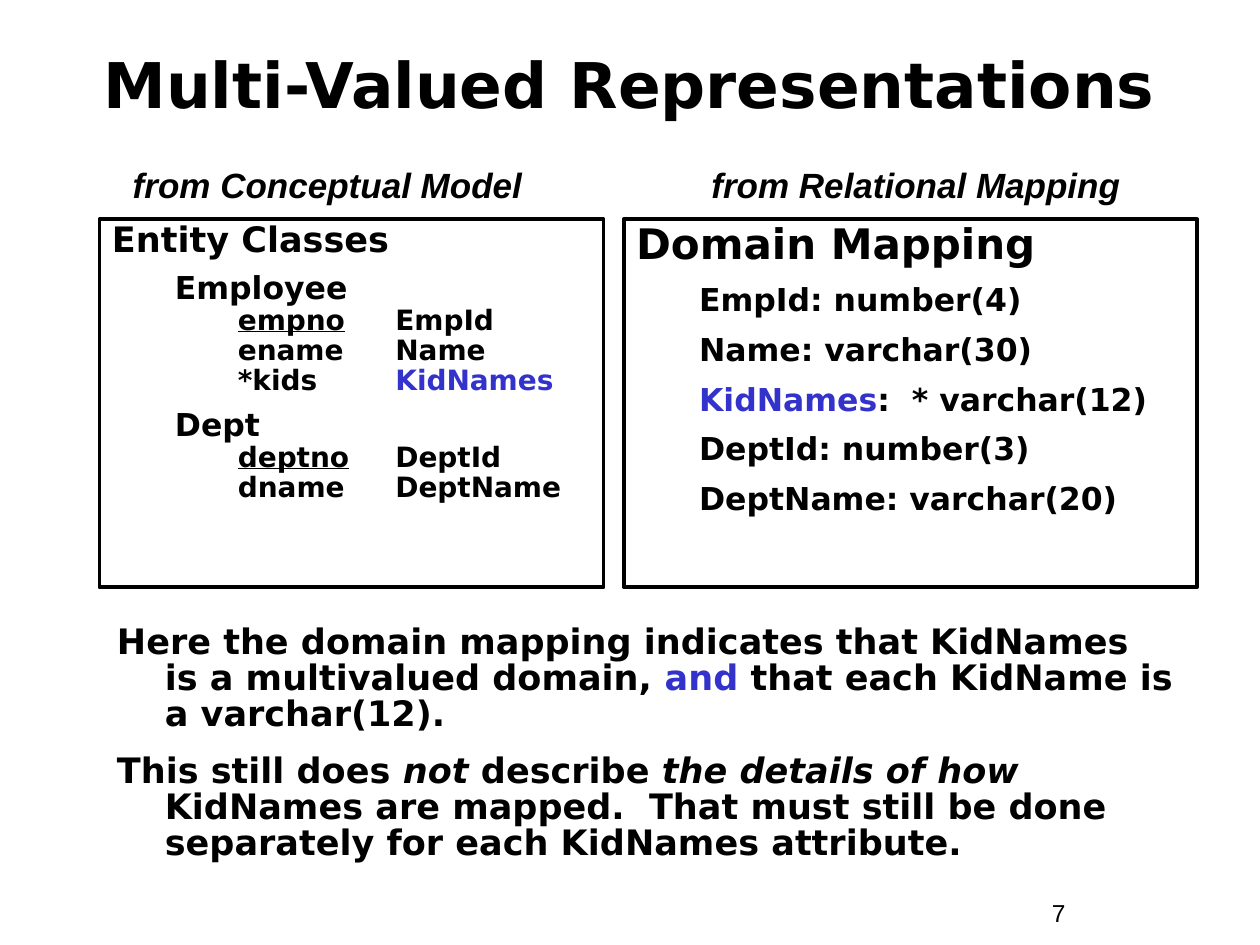
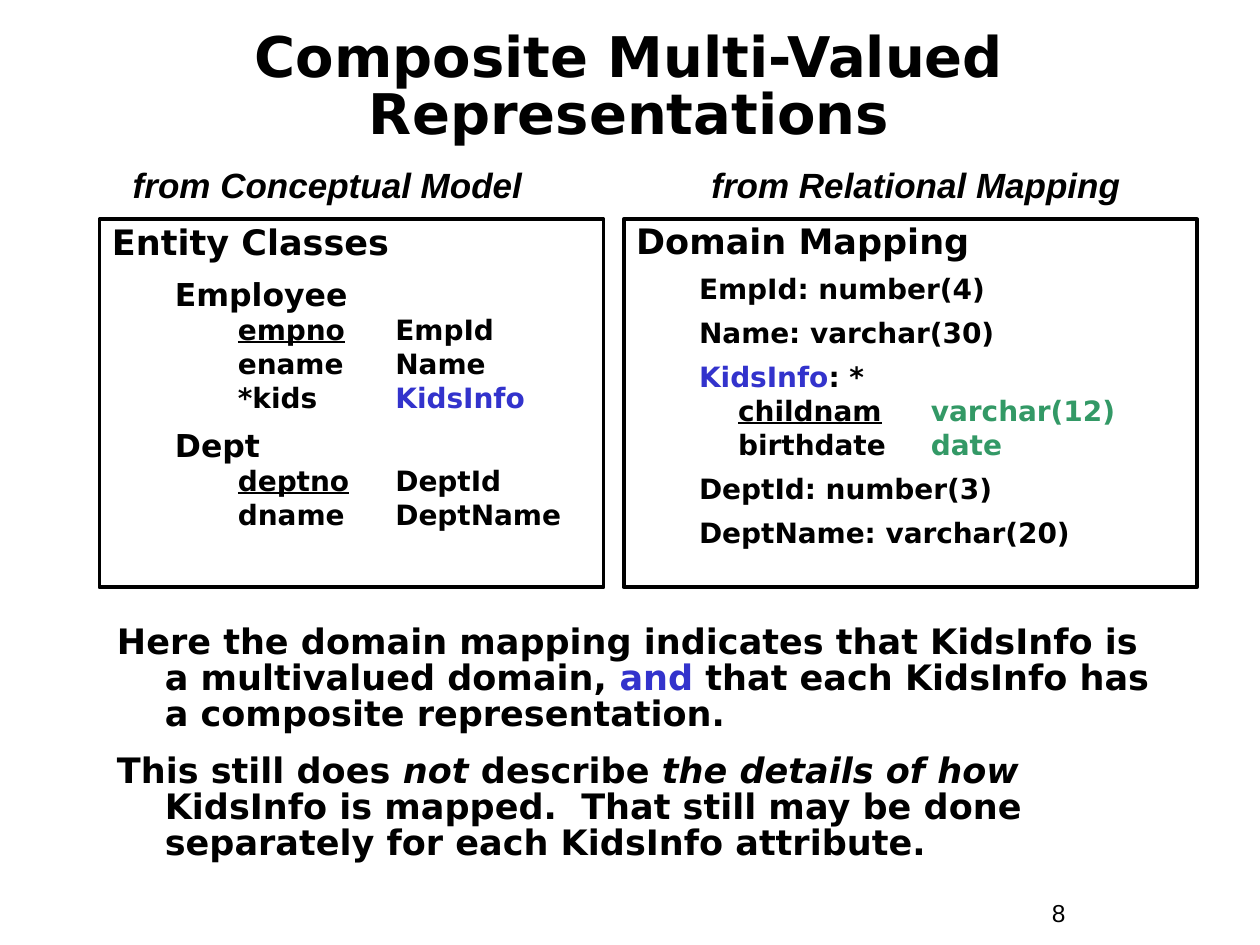
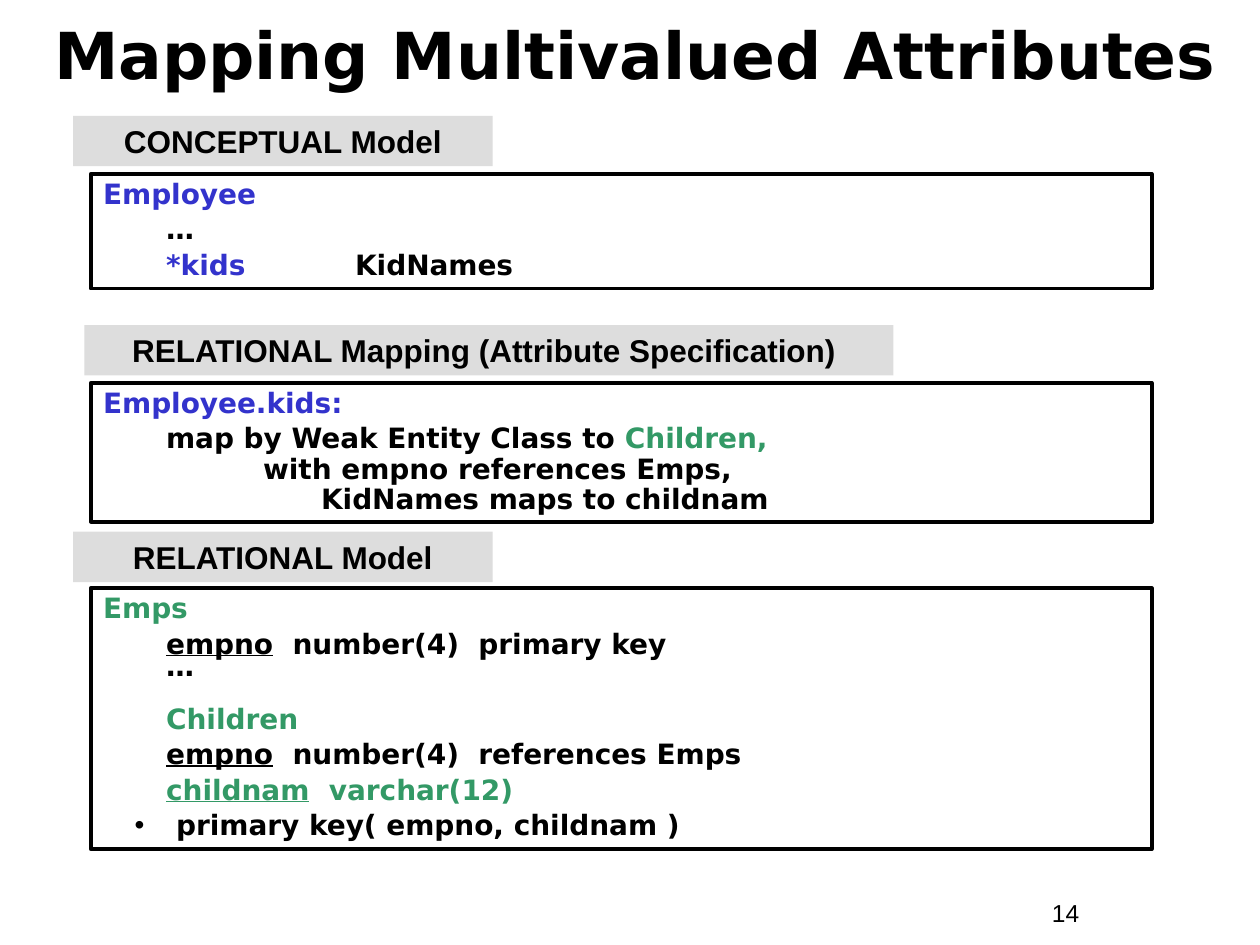
from dataclasses import dataclass
from typing import NamedTuple, Optional

from lxml import etree
from pptx import Presentation
from pptx.dml.color import RGBColor
from pptx.enum.shapes import MSO_SHAPE
from pptx.enum.text import MSO_ANCHOR, PP_ALIGN
from pptx.oxml.ns import qn
from pptx.util import Inches, Pt

RECTANGLE = MSO_SHAPE.RECTANGLE
TOP, MIDDLE = MSO_ANCHOR.TOP, MSO_ANCHOR.MIDDLE
LEFT, CENTER = PP_ALIGN.LEFT, PP_ALIGN.CENTER


@dataclass(frozen=True)
class Theme:
    ink: RGBColor = RGBColor(0x00, 0x00, 0x00)
    blue: RGBColor = RGBColor(0x33, 0x33, 0xCC)
    green: RGBColor = RGBColor(0x33, 0x99, 0x66)
    band: RGBColor = RGBColor(0xDD, 0xDD, 0xDD)
    body_font: str = "DejaVu Sans"
    label_font: str = "Arial"
    border: float = 2.25
    heading: int = 20
    subheading: int = 18
    detail: int = 16
    page: int = 14


THEME = Theme()


class Box(NamedTuple):
    left: float
    top: float
    width: float
    height: float


class Run(NamedTuple):
    text: str
    color: RGBColor = THEME.ink
    underline: bool = False
    italic: bool = False


@dataclass(frozen=True)
class Para:
    """Text with its format; a tab goes to the margin of a hanging indent."""
    runs: tuple[Run, ...]
    size: float = THEME.detail
    margin: float = 0
    hang: float = 0
    before: float = 0
    spacing: float = 1.0
    align: PP_ALIGN = LEFT
    font: str = THEME.body_font
    bold: bool = True
    bullet: Optional[str] = None


class Mapping(NamedTuple):
    """What differs between the two representation slides."""
    title: str
    title_size: int
    page: int
    kids_domain: str
    entity_spacing: float
    domain_heading: int
    domain_size: int
    domain_gap: float
    kids_rows: tuple[Para, ...]
    claim: str
    caveat: str


class Section(NamedTuple):
    label: str
    label_box: Box
    label_format: dict
    panel: Box
    paras: tuple[Para, ...]


def blue(text: str) -> Run:
    return Run(text, THEME.blue)


def green(text: str) -> Run:
    return Run(text, THEME.green)


def key(text: str, color: RGBColor = THEME.ink) -> Run:
    return Run(text, color, underline=True)


def line(*parts: str | Run, **format_values) -> Para:
    runs = tuple(Run(part) if isinstance(part, str) else part for part in parts)
    return Para(runs, **format_values)


def write(frame, paras: tuple[Para, ...], anchor: MSO_ANCHOR = TOP) -> None:
    frame.word_wrap = True
    frame.vertical_anchor = anchor
    for index, para in enumerate(paras):
        paragraph = frame.paragraphs[0] if index == 0 else frame.add_paragraph()
        properties = paragraph._p.get_or_add_pPr()
        properties.set("marL", str(Inches(para.margin)))
        properties.set("indent", str(Inches(-para.hang)))
        if para.bullet:
            etree.SubElement(properties, qn("a:buFont")).set("typeface", THEME.label_font)
            etree.SubElement(properties, qn("a:buChar")).set("char", para.bullet)
        paragraph.alignment = para.align
        paragraph.line_spacing = para.spacing
        paragraph.space_before = Pt(para.before if index else 0)
        for run in para.runs:
            piece = paragraph.add_run()
            piece.text = run.text
            piece.font.color.rgb = run.color
            values = {"name": para.font, "size": Pt(para.size), "bold": para.bold,
                      "italic": run.italic, "underline": run.underline}
            for name, value in values.items():
                setattr(piece.font, name, value)


def add_text(slide, box: Box, *paras: Para):
    frame = slide.shapes.add_textbox(*map(Inches, box)).text_frame
    write(frame, paras)
    return frame


def add_rectangle(slide, box: Box, paras: tuple[Para, ...],
                  fill: Optional[RGBColor] = None) -> None:
    """Draw a filled band, or an outlined panel when there is no fill."""
    rectangle = slide.shapes.add_shape(RECTANGLE, *map(Inches, box))
    rectangle.shadow.inherit = False
    if fill is None:
        rectangle.fill.background()
        rectangle.line.color.rgb = THEME.ink
        rectangle.line.width = Pt(THEME.border)
    else:
        rectangle.fill.solid()
        rectangle.fill.fore_color.rgb = fill
        rectangle.line.fill.background()
    write(rectangle.text_frame, paras)


def start_slide(deck, title: str, size: int, page: int, spacing: float = 0.85,
                box: Box = Box(0.33, 0.33, 9.33, 0.75)):
    slide = deck.slides.add_slide(deck.slide_layouts[6])
    add_text(slide, Box(8.25, 7.08, 0.92, 0.34),
             line(str(page), size=THEME.page, font=THEME.label_font, bold=False))
    heading = add_text(slide, box, line(title, size=size, align=CENTER, spacing=spacing))
    heading.vertical_anchor = MIDDLE
    heading.margin_left = heading.margin_right = 0
    return slide


def entity_paras(kids_domain: str, spacing: float) -> tuple[Para, ...]:
    def entity(name: str) -> Para:
        return line(name, size=THEME.subheading, margin=0.81, hang=0.31,
                    before=9, spacing=spacing)

    def attribute(name: str | Run, domain: str | Run) -> Para:
        return line(name, "\t", domain, margin=2.25, hang=1.25, before=2, spacing=spacing)

    return (
        line("Entity Classes", size=THEME.heading, spacing=spacing),
        entity("Employee"),
        attribute(key("empno"), "EmpId"),
        attribute("ename", "Name"),
        attribute("*kids", blue(kids_domain)),
        entity("Dept"),
        attribute(key("deptno"), "DeptId"),
        attribute("dname", "DeptName"),
    )


def domain_paras(mapping: Mapping) -> tuple[Para, ...]:
    def domain(*parts: str | Run) -> Para:
        return line(*parts, size=mapping.domain_size, margin=0.81, hang=0.31,
                    before=mapping.domain_gap)

    return (
        line("Domain Mapping", size=mapping.domain_heading, spacing=0.85),
        domain("EmpId: number(4)"),
        domain("Name: varchar(30)"),
        *mapping.kids_rows,
        domain("DeptId: number(3)"),
        domain("DeptName: varchar(20)"),
    )


def add_mapping_slide(deck, mapping: Mapping) -> None:
    slide = start_slide(deck, mapping.title, mapping.title_size, mapping.page)
    for left, caption in ((0.6, "from Conceptual Model"), (5.27, "from Relational Mapping")):
        add_text(slide, Box(left, 1.25, 4, 0.44),
                 line(Run(caption, italic=True), size=THEME.heading, align=CENTER,
                      font=THEME.label_font))
    add_rectangle(slide, Box(0.79, 1.74, 4, 2.92),
                  entity_paras(mapping.kids_domain, mapping.entity_spacing))
    add_rectangle(slide, Box(4.95, 1.74, 4.55, 2.92), domain_paras(mapping))
    note = {"size": THEME.heading, "margin": 0.38, "hang": 0.38,
            "before": 12.5, "spacing": 0.85}
    add_text(
        slide, Box(0.83, 4.92, 8.58, 1.98),
        line(f"Here the domain mapping indicates that {mapping.kids_domain} is"
             " a multivalued domain, ", blue("and"), mapping.claim, **note),
        line("This still does ", Run("not", italic=True), " describe ",
             Run("the details of how", italic=True), mapping.caveat, **note))


def add_attributes_slide(deck, sections: tuple[Section, ...]) -> None:
    slide = start_slide(deck, "Mapping Multivalued Attributes", 37, 14, 0.8,
                        Box(0.33, 0.14, 9.42, 0.69))
    for section in sections:
        label = line(section.label, size=THEME.subheading, font=THEME.label_font,
                     **section.label_format)
        add_rectangle(slide, section.label_box, (label,), THEME.band)
        add_rectangle(slide, section.panel, section.paras)


MAPPINGS = (
    Mapping(
        "Multi-Valued Representations", 36, 7, "KidNames", 0.8, 24, 18, 6.8,
        (line(blue("KidNames"), ":  * varchar(12)", size=18, margin=0.81, hang=0.31,
              before=6.8),),
        " that each KidName is a varchar(12).",
        " KidNames are mapped.  That must still be done separately"
        " for each KidNames attribute."),
    Mapping(
        "Composite Multi-Valued Representations", 32, 8, "KidsInfo", 0.9, 20, 16, 6,
        (line(blue("KidsInfo"), ": *", margin=0.81, hang=0.31, before=6),
         line(key("childnam"), "\t", green("varchar(12)"), margin=2.34, hang=1.53),
         line("birthdate", "\t", green("date"), margin=2.34, hang=1.53)),
        " that each KidsInfo has a composite representation.",
        " KidsInfo is mapped.  That still may be done separately"
        " for each KidsInfo attribute."),
)

ROW = {"before": 3, "spacing": 0.9}
INNER = {**ROW, "margin": 0.5}

SECTIONS = (
    Section(
        "CONCEPTUAL Model", Box(0.58, 0.92, 3.33, 0.4), {"align": CENTER},
        Box(0.72, 1.38, 8.42, 0.91),
        (line(blue("Employee"), **ROW),
         line("…", **INNER),
         line(blue("*kids"), "\t", "KidNames", margin=2, hang=1.5, **ROW))),
    Section(
        "RELATIONAL Mapping (Attribute Specification)", Box(0.67, 2.58, 6.42, 0.4),
        {"margin": 0.28}, Box(0.72, 3.04, 8.42, 1.1),
        (line(blue("Employee.kids:"), **ROW),
         line("map by Weak Entity Class to ", green("Children,"), **INNER),
         line("with empno references Emps,", margin=1.27, spacing=0.9),
         line("KidNames maps to childnam", margin=1.73, spacing=0.9))),
    Section(
        "RELATIONAL Model", Box(0.58, 4.22, 3.33, 0.4), {"align": CENTER},
        Box(0.72, 4.67, 8.42, 2.07),
        (line(green("Emps"), **ROW),
         line(key("empno"), "  number(4)  primary key", **INNER),
         line("…", margin=0.5, spacing=0.6),
         line(green("Children"), margin=0.5, before=14, spacing=0.9),
         line(key("empno"), "  number(4)  references Emps", **INNER),
         line(key("childnam", THEME.green), "  ", green("varchar(12)"), **INNER),
         line("primary key( empno, childnam )", margin=0.58, hang=0.33, bullet="•", **ROW))),
)


def main() -> None:
    deck = Presentation()
    deck.slide_width, deck.slide_height = Inches(10), Inches(7.5)
    for mapping in MAPPINGS:
        add_mapping_slide(deck, mapping)
    add_attributes_slide(deck, SECTIONS)
    deck.save("out.pptx")


if __name__ == "__main__":
    main()
